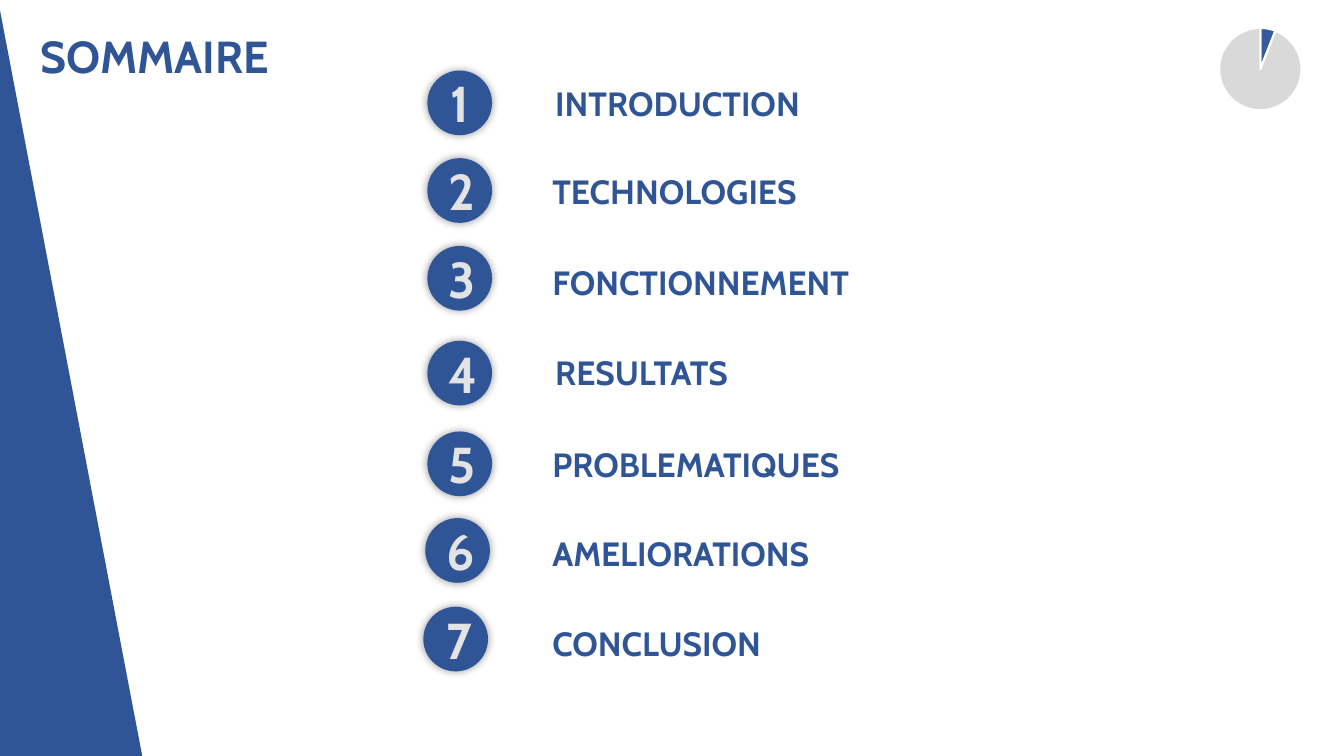
import pptx
import pptx.chart.data
import pptx.dml.color
import pptx.enum.chart
import pptx.enum.shapes
import pptx.enum.text
import pptx.oxml
import pptx.oxml.ns
import pptx.util

Pt = pptx.util.Pt
RGBColor = pptx.dml.color.RGBColor
SHAPES = pptx.enum.shapes.MSO_SHAPE
ALIGN = pptx.enum.text.PP_ALIGN

BLUE = RGBColor(0x2F, 0x55, 0x97)
PALE = RGBColor(0xE3, 0xE3, 0xE3)
WHITE = RGBColor(0xFF, 0xFF, 0xFF)
BLACK = RGBColor(0, 0, 0)
SLICES = [RGBColor(0x36, 0x5A, 0x9B), RGBColor(0xD9, 0xD9, 0xD9),
          RGBColor(0x79, 0x91, 0xCE), RGBColor(0xB4, 0xBE, 0xDF)]

DISC_SIZE = 46.2
# Heading, disc left and top, digit left, heading left and top
CHAPTERS = [
    ("INTRODUCTION", 305.3, 50.4, 313.2, 389.5, 55.4),
    ("TECHNOLOGIES", 305.3, 113, 313.2, 387.4, 118.8),
    ("FONCTIONNEMENT", 305.3, 175.7, 313.2, 387.4, 183.6),
    ("RESULTATS", 305.3, 243.4, 313.2, 389.5, 247.7),
    ("PROBLEMATIQUES", 305.3, 308.2, 313.2, 387.4, 313.2),
    ("AMELIORATIONS", 303.8, 370.1, 311.8, 387.4, 377.3),
    ("CONCLUSION", 302.4, 433.4, 311.8, 387.4, 441.4),
]

SHADOW = (
    '<a:effectLst xmlns:a="http://schemas.openxmlformats.org/drawingml/2006/main">'
    '<a:outerShdw blurRad="76200" dist="0" dir="0" algn="ctr" rotWithShape="0">'
    '<a:srgbClr val="000000"><a:alpha val="40000"/></a:srgbClr>'
    '</a:outerShdw></a:effectLst>'
)
PLOT_LAYOUT = (
    '<c:layout xmlns:c="http://schemas.openxmlformats.org/drawingml/2006/chart">'
    '<c:manualLayout><c:layoutTarget val="inner"/>'
    '<c:xMode val="edge"/><c:yMode val="edge"/>'
    '<c:x val="0.255"/><c:y val="0.13"/><c:w val="0.49"/><c:h val="0.74"/>'
    '</c:manualLayout></c:layout>'
)


def set_font(font, color, **values):
    for name, value in values.items():
        setattr(font, name, value)
    font.color.rgb = color


def fill_text(box, text, size, color, align=ALIGN.LEFT):
    frame = box.text_frame
    frame_format = {
        "word_wrap": True,
        "auto_size": pptx.enum.text.MSO_AUTO_SIZE.SHAPE_TO_FIT_TEXT,
        "vertical_anchor": pptx.enum.text.MSO_ANCHOR.TOP,
    }
    for name, value in frame_format.items():
        setattr(frame, name, value)
    para = frame.paragraphs[0]
    para.alignment = align
    span = para.add_run()
    span.text = text
    set_font(span.font, color, name="Cabin", size=Pt(size), bold=True)


def add_plain_shape(parent, kind, left, top, width, height):
    shape = parent.shapes.add_shape(kind, Pt(left), Pt(top), Pt(width), Pt(height))
    shape.shadow.inherit = False
    shape.fill.solid()
    shape.fill.fore_color.rgb = BLUE
    shape.line.fill.background()
    return shape


def add_label(parent, text, size, color, left, top, width, height, align=ALIGN.LEFT):
    box = parent.shapes.add_textbox(Pt(left), Pt(top), Pt(width), Pt(height))
    fill_text(box, text, size, color, align)


def add_title(page, text):
    title = page.shapes.title
    place = {"left": 21.6, "top": 16.6, "width": 314, "height": 46}
    for name, value in place.items():
        setattr(title, name, Pt(value))
    fill_text(title, text, 32, BLUE)


def add_numbered_disc(page, number, left, top, digit_left):
    group = page.shapes.add_group_shape()
    disc = add_plain_shape(group, SHAPES.OVAL, left, top, DISC_SIZE, DISC_SIZE)
    # Replace the empty effect list with a soft shadow
    properties = disc._element.spPr
    properties.remove(properties.find(pptx.oxml.ns.qn("a:effectLst")))
    properties.append(pptx.oxml.parse_xml(SHADOW))
    add_label(group, str(number), 36, PALE, digit_left, top - 2.2, 30.2, 51, ALIGN.CENTER)


def add_progress_pie(page):
    data = pptx.chart.data.CategoryChartData()
    data.categories = ["1", "2", "3", "4"]
    data.add_series("Series 1", [6, 94, None, None])
    chart = page.shapes.add_chart(
        pptx.enum.chart.XL_CHART_TYPE.PIE,
        Pt(840.2), Pt(9.4), Pt(120.2), Pt(80), data).chart
    chart.has_legend = False
    chart.has_title = False
    set_font(chart.font, BLACK, name="Calibri", size=Pt(10))
    plot = chart.plots[0]
    plot.vary_by_categories = True
    for index, color in enumerate(SLICES):
        slice_format = plot.series[0].points[index].format
        slice_format.fill.solid()
        slice_format.fill.fore_color.rgb = color
        slice_format.line.color.rgb = WHITE
        slice_format.line.width = Pt(1.5)
    # Fix the size of the pie inside its frame
    area = chart._chartSpace.chart.plotArea
    for layout in area.findall(pptx.oxml.ns.qn("c:layout")):
        area.remove(layout)
    area.insert(0, pptx.oxml.parse_xml(PLOT_LAYOUT))


def main():
    deck = pptx.Presentation()
    deck.slide_width, deck.slide_height = Pt(960), Pt(540)
    page = deck.slides.add_slide(deck.slide_layouts[5])

    # Side wedge and title
    add_plain_shape(page, SHAPES.RIGHT_TRIANGLE, -1.4, 0, 103, 540)
    add_title(page, "SOMMAIRE")

    # Chapters
    for number, chapter in enumerate(CHAPTERS, start=1):
        heading, disc_left, disc_top, digit_left, left, top = chapter
        add_numbered_disc(page, number, disc_left, disc_top, digit_left)
        add_label(page, heading, 24, BLUE, left, top, 314, 36.4)

    # Progress indicator
    add_progress_pie(page)
    deck.save("out.pptx")


if __name__ == "__main__":
    main()
